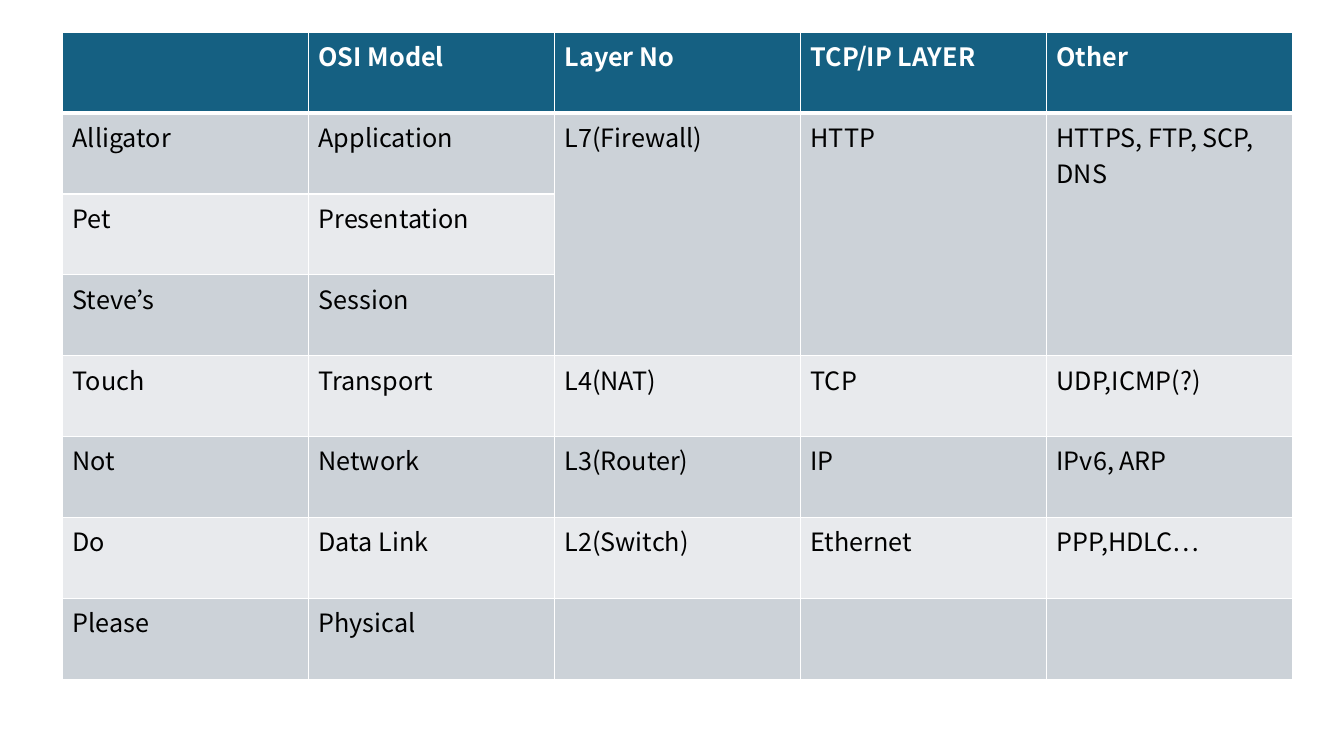
from dataclasses import dataclass

from lxml import etree
from pptx import Presentation
from pptx.dml.color import RGBColor
from pptx.oxml.ns import qn
from pptx.util import Inches, Pt

BLANK_LAYOUT = 6
MERGED_ROWS = (1, 3)
MERGED_COLUMNS = (2, 3, 4)

OSI_ROWS = [
    ("", "OSI Model", "Layer No", "TCP/IP LAYER", "Other"),
    ("Alligator", "Application", "L7(Firewall)", "HTTP", "HTTPS, FTP, SCP, DNS"),
    ("Pet", "Presentation", "", "", ""),
    ("Steve’s", "Session", "", "", ""),
    ("Touch", "Transport", "L4(NAT)", "TCP", "UDP,ICMP(?)"),
    ("Not", "Network", "L3(Router)", "IP", "IPv6, ARP"),
    ("Do", "Data Link", "L2(Switch)", "Ethernet", "PPP,HDLC…"),
    ("Please", "Physical", "", "", ""),
]


@dataclass(frozen=True)
class Theme:
    font: str = "Noto Sans CJK KR"
    text_size: int = 18
    header_fill: str = "156082"
    header_text: str = "FFFFFF"
    bands: tuple = ("E8EAED", "CCD2D8")
    body_text: str = "000000"
    border: str = "FFFFFF"
    thin: int = 1
    thick: int = 3


class SlideBuilder:
    def __init__(self, slide, theme):
        self.slide = slide
        self.theme = theme

    def table(self, rows, left, top, width, height):
        frame = self.slide.shapes.add_table(
            len(rows), len(rows[0]),
            Inches(left), Inches(top), Inches(width), Inches(height))
        table = frame.table
        first, last = MERGED_ROWS
        for column in MERGED_COLUMNS:
            table.cell(first, column).merge(table.cell(last, column))
        for row_no, row in enumerate(rows):
            for column_no, text in enumerate(row):
                self.cell(table.cell(row_no, column_no), text, row_no)

    def cell(self, cell, text, row_no):
        theme = self.theme
        is_header = row_no == 0
        band_row = MERGED_ROWS[0] if cell.is_spanned else row_no
        fill = theme.header_fill if is_header else theme.bands[band_row % 2]
        cell.fill.solid()
        cell.fill.fore_color.rgb = RGBColor.from_string(fill)
        self.borders(cell, row_no)
        cell.text = text
        font = cell.text_frame.paragraphs[0].font
        font.name = theme.font
        font.size = Pt(theme.text_size)
        font.bold = is_header
        font.color.rgb = RGBColor.from_string(
            theme.header_text if is_header else theme.body_text)

    def borders(self, cell, row_no):
        """Draw all four sides, with a thick rule between header and body."""
        theme = self.theme
        thick_side = {0: "a:lnB", 1: "a:lnT"}.get(row_no)
        properties = cell._tc.get_or_add_tcPr()
        for position, side in enumerate(("a:lnL", "a:lnR", "a:lnT", "a:lnB")):
            points = theme.thick if side == thick_side else theme.thin
            line = etree.Element(qn(side), w=str(Pt(points)))
            solid = etree.SubElement(line, qn("a:solidFill"))
            etree.SubElement(solid, qn("a:srgbClr"), val=theme.border)
            properties.insert(position, line)


def main():
    presentation = Presentation()
    presentation.slide_width = Inches(13.33)
    presentation.slide_height = Inches(7.5)
    slide = presentation.slides.add_slide(presentation.slide_layouts[BLANK_LAYOUT])
    SlideBuilder(slide, Theme()).table(OSI_ROWS, 0.62, 0.32, 12.2, 6.42)
    presentation.save("out.pptx")


if __name__ == "__main__":
    main()
